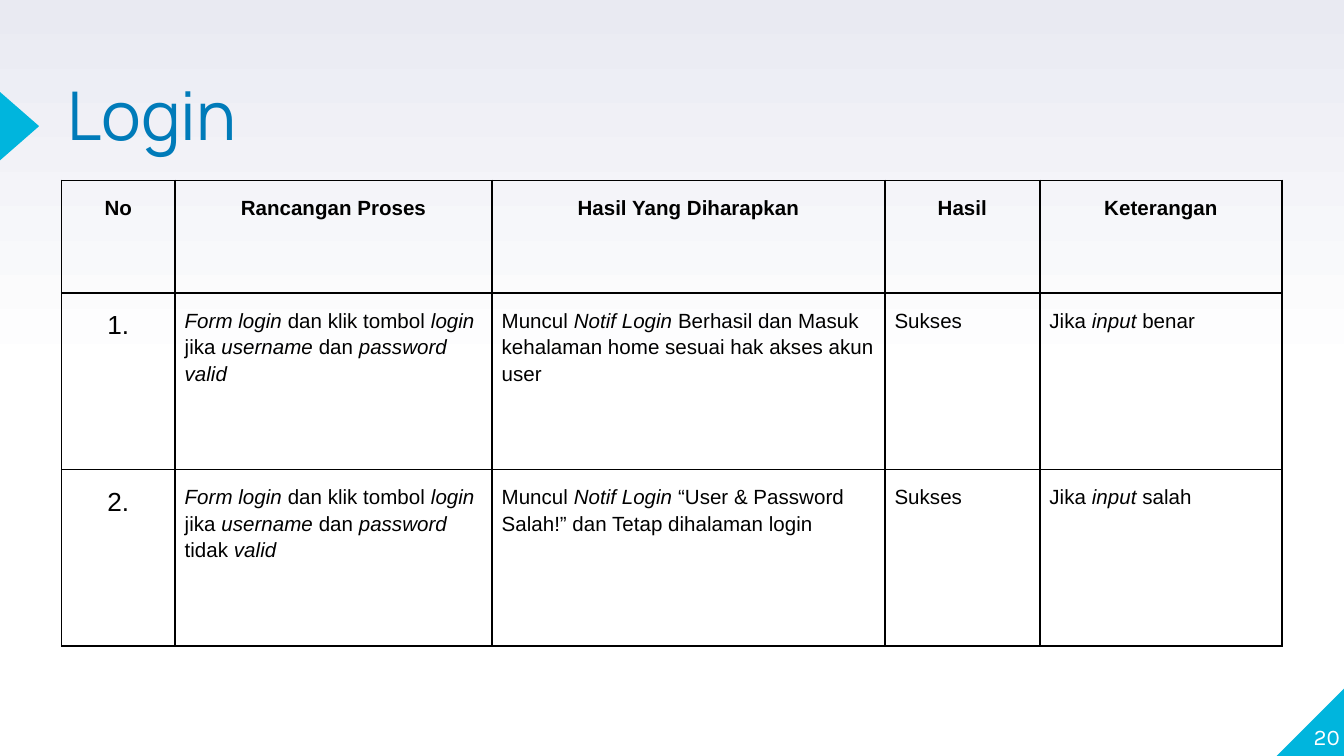
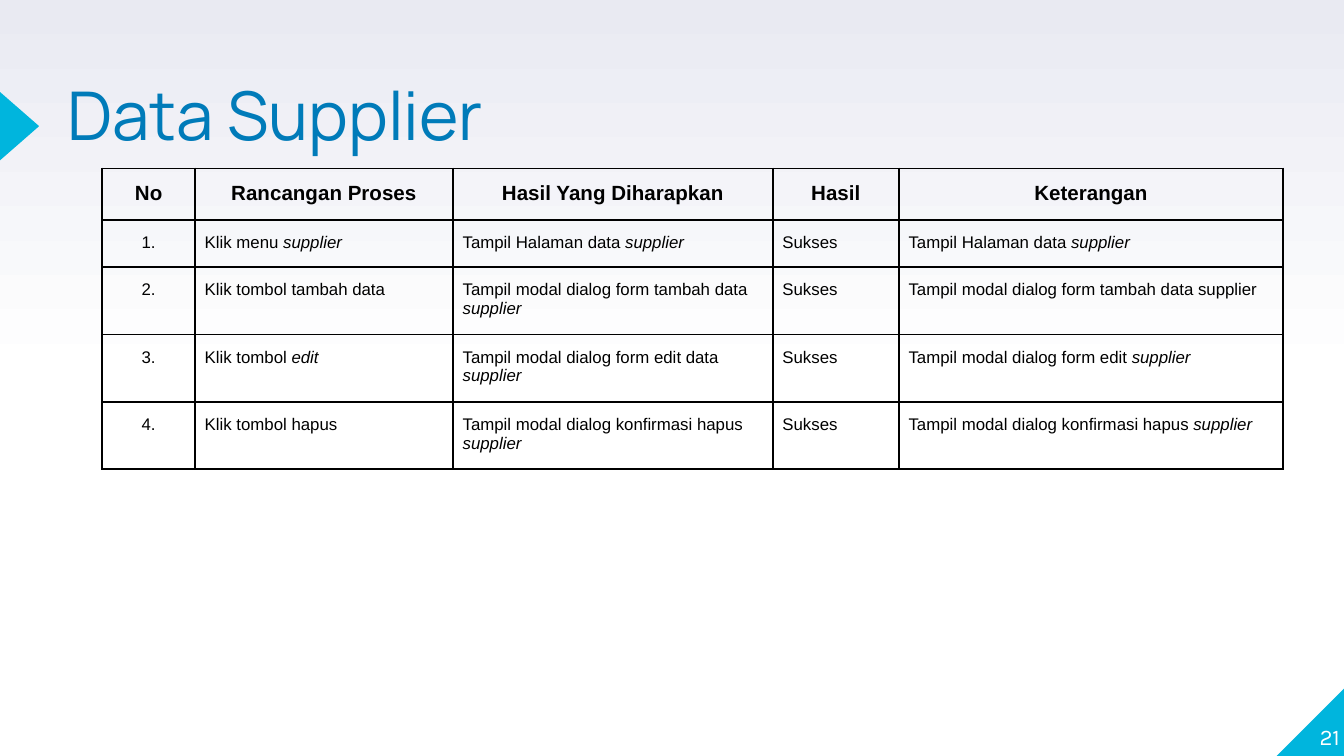
from copy import deepcopy
from dataclasses import dataclass

from lxml.etree import SubElement
from pptx import Presentation
from pptx.dml.color import RGBColor
from pptx.enum.shapes import MSO_SHAPE
from pptx.enum.text import MSO_ANCHOR, PP_ALIGN
from pptx.oxml.ns import qn
from pptx.util import Pt


@dataclass(frozen=True)
class Theme:
    """Colours, fonts and type sizes shared by the slides."""
    accent: str = "00B5DD"
    title: str = "007BB9"
    ink: str = "000000"
    paper: str = "FFFFFF"
    haze: str = "E9EAF2"
    title_font: str = "Manrope"
    number_font: str = "Karla"
    table_font: str = "Arial"
    title_size: float = 36
    number_size: float = 12
    header_size: float = 11


THEME = Theme()
HEADERS = ["No", "Rancangan Proses", "Hasil Yang Diharapkan", "Hasil", "Keterangan"]

LOGIN = {
    "title": "Login",
    "title_box": (36, 47.5, 444, 85),
    "number": 20,
    "origin": (33, 96.7),
    "columns": [60.8, 169.8, 210.5, 83, 129.8],
    "heights": [60.4, 94.5, 94.5],
    "sizes": {"index": 14, "body": 11},
    "line_spacing": 1.15,
    "rows": [
        ["*Form login *dan klik tombol *login *jika *username *dan *password valid*",
         "Muncul *Notif Login* Berhasil dan Masuk kehalaman home sesuai hak akses akun user",
         "Sukses", "Jika *input *benar"],
        ["*Form login *dan klik tombol *login *jika *username *dan *password *tidak *valid*",
         "Muncul *Notif Login* “User & Password Salah!” dan Tetap dihalaman login",
         "Sukses", "Jika *input *salah"],
    ],
}

SUPPLIER = {
    "title": "Data Supplier",
    "title_box": (36, 47.5, 385, 37),
    "number": 21,
    "origin": (54.8, 90.2),
    "columns": [49.7, 138.2, 171.3, 67.6, 205.8],
    "heights": [17.3, 17.3, 20.9, 20.9, 20.9],
    "sizes": {"index": 9, "body": 9},
    "line_spacing": None,
    "rows": [
        ["Klik menu* supplier*", "Tampil Halaman data *supplier*",
         "Sukses", "Tampil Halaman data *supplier*"],
        ["Klik tombol tambah data", "Tampil modal dialog form tambah data* supplier*",
         "Sukses", "Tampil modal dialog form tambah data supplier"],
        ["Klik tombol* edit*", "Tampil modal dialog form edit data *supplier*",
         "Sukses", "Tampil modal dialog form edit *supplier*"],
        ["Klik tombol hapus", "Tampil modal dialog konfirmasi hapus *supplier*",
         "Sukses", "Tampil modal dialog konfirmasi hapus *supplier*"],
    ],
}


def apply_format(target, values):
    """Set each attribute of the target from a dict of values."""
    for name, value in values.items():
        setattr(target, name, value)


def write_text(paragraph, text, color, font, paragraph_format):
    """Fill a paragraph, turning text between asterisks italic."""
    apply_format(paragraph, paragraph_format)
    for position, part in enumerate(text.split("*")):
        if part:
            run = paragraph.add_run()
            run.text = part
            apply_format(run.font, {**font, "italic": position % 2 == 1})
            run.font.color.rgb = RGBColor.from_string(color)


def add_label(slide, box, text, color, font, anchor, paragraph_format):
    """Add a text box without margins in the given box."""
    frame = slide.shapes.add_textbox(*map(Pt, box)).text_frame
    apply_format(frame, {
        "word_wrap": True, "vertical_anchor": anchor, "margin_left": 0,
        "margin_top": 0, "margin_right": 0, "margin_bottom": 0})
    write_text(frame.paragraphs[0], text, color, font, paragraph_format)


def add_accent(slide, kind, box):
    """Add a plain accent-coloured shape in the given box."""
    shape = slide.shapes.add_shape(kind, *map(Pt, box))
    shape.shadow.inherit = False
    shape.fill.solid()
    shape.fill.fore_color.rgb = RGBColor.from_string(THEME.accent)
    shape.line.fill.background()
    return shape


def paint_background(slide):
    """Fade the background from white up to the haze colour."""
    fill = slide.background.fill
    fill.gradient()
    fill.gradient_angle = 90
    stop_list = slide.background.fill.gradient_stops
    element = slide.element.find(".//" + qn("a:gsLst"))
    element.insert(1, deepcopy(element[0]))
    stops = [(0, THEME.paper), (0.5, THEME.paper), (1, THEME.haze)]
    for stop, (position, color) in zip(stop_list, stops):
        stop.position = position
        stop.color.rgb = RGBColor.from_string(color)


def add_corner(slide, box, number):
    """Add the corner triangle and the slide number inside the box."""
    left, top, width, height = box
    triangle = add_accent(slide, MSO_SHAPE.RIGHT_TRIANGLE, box)
    triangle.element.spPr.xfrm.set("flipH", "1")
    add_label(slide, (left - 3, top - 3, width, height), str(number), THEME.paper,
              {"name": THEME.number_font, "size": Pt(THEME.number_size)},
              MSO_ANCHOR.BOTTOM, {"alignment": PP_ALIGN.RIGHT})


def add_title(slide, box, text):
    """Add the title and the edge arrow to the left of its box."""
    left, top = box[:2]
    arrow = add_accent(slide, MSO_SHAPE.ISOSCELES_TRIANGLE,
                       (left - 43.9, top + 9.6, 36.7, 21))
    arrow.rotation = 90
    add_label(slide, box, text, THEME.title,
              {"name": THEME.title_font, "size": Pt(THEME.title_size)},
              MSO_ANCHOR.TOP, {"line_spacing": 0.8})


def outline_cell(cell):
    """Draw a one-point border on every side and leave the cell unfilled."""
    properties = cell._tc.get_or_add_tcPr()
    for side in ("L", "R", "T", "B"):
        line = SubElement(properties, qn(f"a:ln{side}"), w=str(Pt(1)))
        fill = SubElement(line, qn("a:solidFill"))
        SubElement(fill, qn("a:srgbClr"), val=THEME.ink)
    cell.fill.background()


def add_test_table(slide, content):
    """Add the test table at its origin, numbering the rows."""
    columns, heights, sizes = content["columns"], content["heights"], content["sizes"]
    rows = [HEADERS] + [[f"{index}.", *row] for index, row in enumerate(content["rows"], 1)]
    box = (*content["origin"], sum(columns), sum(heights))
    table = slide.shapes.add_table(len(rows), len(columns), *map(Pt, box)).table
    apply_format(table, {"first_row": False, "horz_banding": False})
    for column, width in zip(table.columns, columns):
        column.width = Pt(width)
    for row, height in zip(table.rows, heights):
        row.height = Pt(height)
    for row_index, row in enumerate(rows):
        for column_index, text in enumerate(row):
            cell = table.cell(row_index, column_index)
            header, index = row_index == 0, column_index == 0
            size = THEME.header_size if header else sizes["index" if index else "body"]
            apply_format(cell, {"margin_left": Pt(5.2), "margin_right": Pt(5.2),
                                "margin_top": Pt(7.2), "margin_bottom": Pt(7.2)})
            outline_cell(cell)
            write_text(cell.text_frame.paragraphs[0], text, THEME.ink,
                       {"name": THEME.table_font, "size": Pt(size), "bold": header},
                       {"alignment": PP_ALIGN.CENTER if header or index else PP_ALIGN.LEFT,
                        "line_spacing": content["line_spacing"],
                        "space_before": Pt(12), "space_after": Pt(12)})


def add_test_slide(presentation, content):
    """Add one test slide with its title, number and table."""
    slide = presentation.slides.add_slide(presentation.slide_layouts[6])
    paint_background(slide)
    add_corner(slide, (684, 368.2, 36.8, 36.8), content["number"])
    add_title(slide, content["title_box"], content["title"])
    add_test_table(slide, content)


def main():
    """Build and save the presentation."""
    presentation = Presentation()
    apply_format(presentation, {"slide_width": Pt(720), "slide_height": Pt(405)})
    for content in (LOGIN, SUPPLIER):
        add_test_slide(presentation, content)
    presentation.save("out.pptx")


if __name__ == "__main__":
    main()
